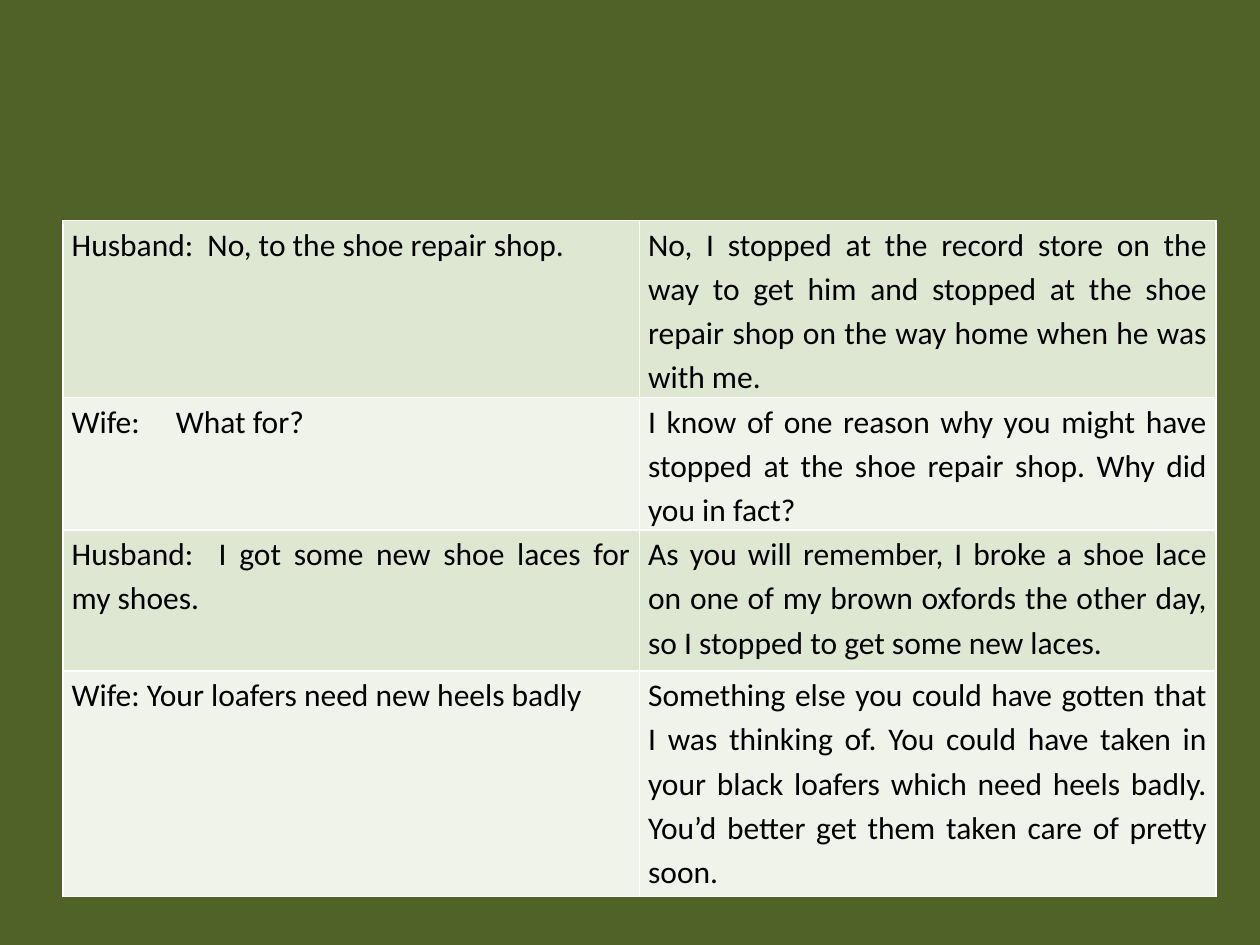
from dataclasses import dataclass

from lxml.etree import SubElement
from pptx import Presentation
from pptx.dml.color import RGBColor as RGB
from pptx.enum.text import PP_ALIGN as ALIGN
from pptx.oxml.ns import qn
from pptx.util import Pt


@dataclass(frozen=True)
class Theme:
    """Colours and type of the slide."""
    back: str = "4F6228"
    bands: tuple = ("DEE7D1", "EFF3EA")
    border: str = "FFFFFF"
    ink: str = "000000"
    font: str = "Calibri"
    size: float = 18
    spacing: float = 1.15


THEME = Theme()
LEFT, TOP, COL_WIDTH, TAB = 36, 126, 329.4, 59.5
DIALOGUE = [
    (96.5, "Husband:  No, to the shoe repair shop.",
     "No, I stopped at the record store on the way to get him and stopped at "
     "the shoe repair shop on the way home when he was with me."),
    (65, "Wife:\tWhat for?",
     "I know of one reason why you might have stopped at the shoe repair shop. "
     "Why did you in fact?"),
    (80.6, "Husband:  I got some new shoe laces for my shoes.",
     "As you will remember, I broke a shoe lace on one of my brown oxfords the "
     "other day, so I stopped to get some new laces."),
    (129, "Wife: Your loafers need new heels badly",
     "Something else you could have gotten that I was thinking of. You could "
     "have taken in your black loafers which need heels badly. You’d better "
     "get them taken care of pretty soon."),
]


def set_attrs(obj, values):
    """Set each attribute of an object from a dict."""
    for name, value in values.items():
        setattr(obj, name, value)


def add_borders(cell):
    """Give a cell a thin line on every side."""
    tc_pr = cell._tc.get_or_add_tcPr()
    for i, side in enumerate(("lnL", "lnR", "lnT", "lnB")):
        ln = tc_pr.makeelement(qn(f"a:{side}"), {"w": str(Pt(1))})
        fill = SubElement(ln, qn("a:solidFill"))
        SubElement(fill, qn("a:srgbClr"), val=THEME.border)
        tc_pr.insert(i, ln)


def add_tab_stop(p):
    """Place a left tab stop on a paragraph."""
    tabs = SubElement(p._p.get_or_add_pPr(), qn("a:tabLst"))
    SubElement(tabs, qn("a:tab"), pos=str(Pt(TAB)), algn="l")


def fill_cell(cell, text, color):
    """Write and format one table cell."""
    set_attrs(cell, {"margin_left": Pt(5), "margin_right": Pt(5),
                     "margin_top": 0, "margin_bottom": 0})
    cell.fill.solid()
    cell.fill.fore_color.rgb = RGB.from_string(color)
    add_borders(cell)
    p = cell.text_frame.paragraphs[0]
    set_attrs(p, {"alignment": ALIGN.JUSTIFY, "line_spacing": THEME.spacing})
    if "\t" in text:
        add_tab_stop(p)
    r = p.add_run()
    r.text = text
    set_attrs(r.font, {"name": THEME.font, "size": Pt(THEME.size), "bold": False})
    r.font.color.rgb = RGB.from_string(THEME.ink)


def add_dialogue(s, rows):
    """Add the table of spoken lines and their meanings."""
    height = sum(row[0] for row in rows)
    table = s.shapes.add_table(len(rows), 2, Pt(LEFT), Pt(TOP),
                               Pt(2 * COL_WIDTH), Pt(height)).table
    set_attrs(table, {"first_row": False, "horz_banding": False})
    for col in table.columns:
        col.width = Pt(COL_WIDTH)
    for i, (row_height, *texts) in enumerate(rows):
        table.rows[i].height = Pt(row_height)
        for j, text in enumerate(texts):
            fill_cell(table.cell(i, j), text, THEME.bands[i % 2])


def main():
    """Build and save the slide."""
    prs = Presentation()
    set_attrs(prs, {"slide_width": Pt(720), "slide_height": Pt(540)})
    s = prs.slides.add_slide(prs.slide_layouts[6])
    s.background.fill.solid()
    s.background.fill.fore_color.rgb = RGB.from_string(THEME.back)
    add_dialogue(s, DIALOGUE)
    prs.save("out.pptx")


main()
